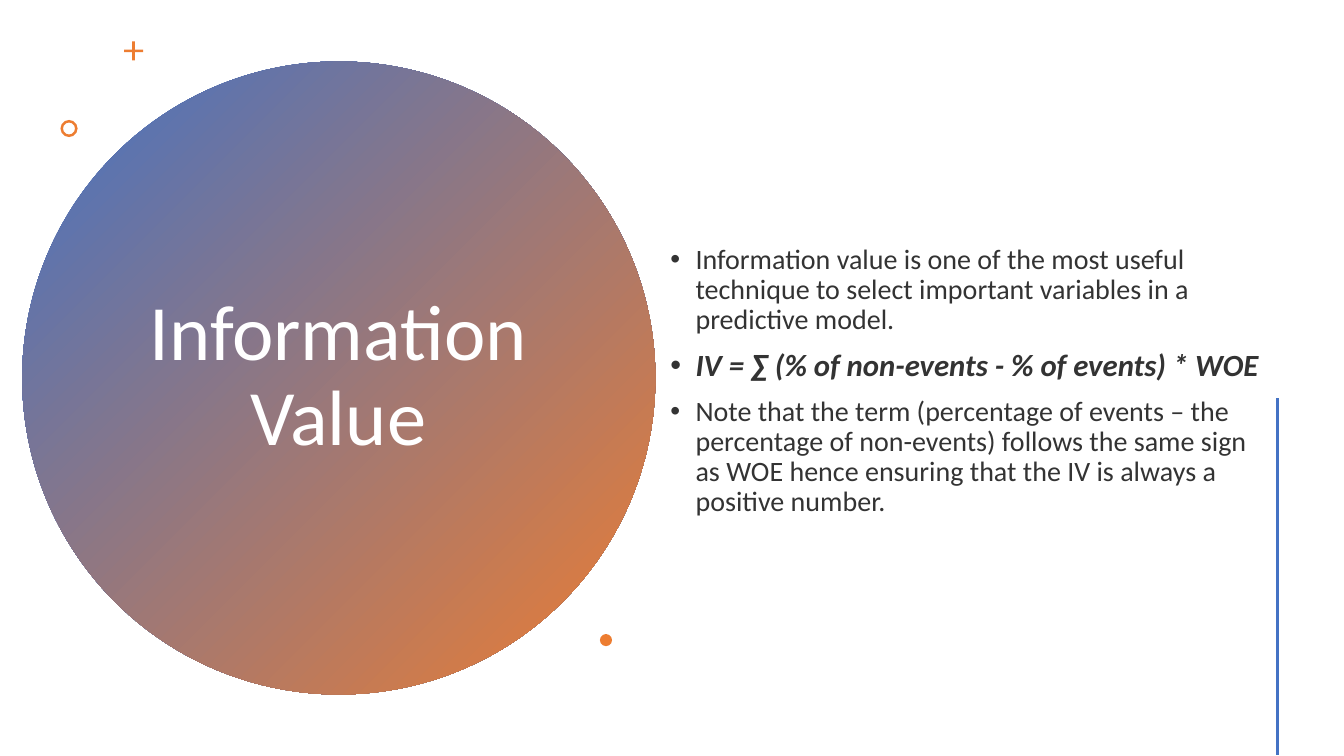
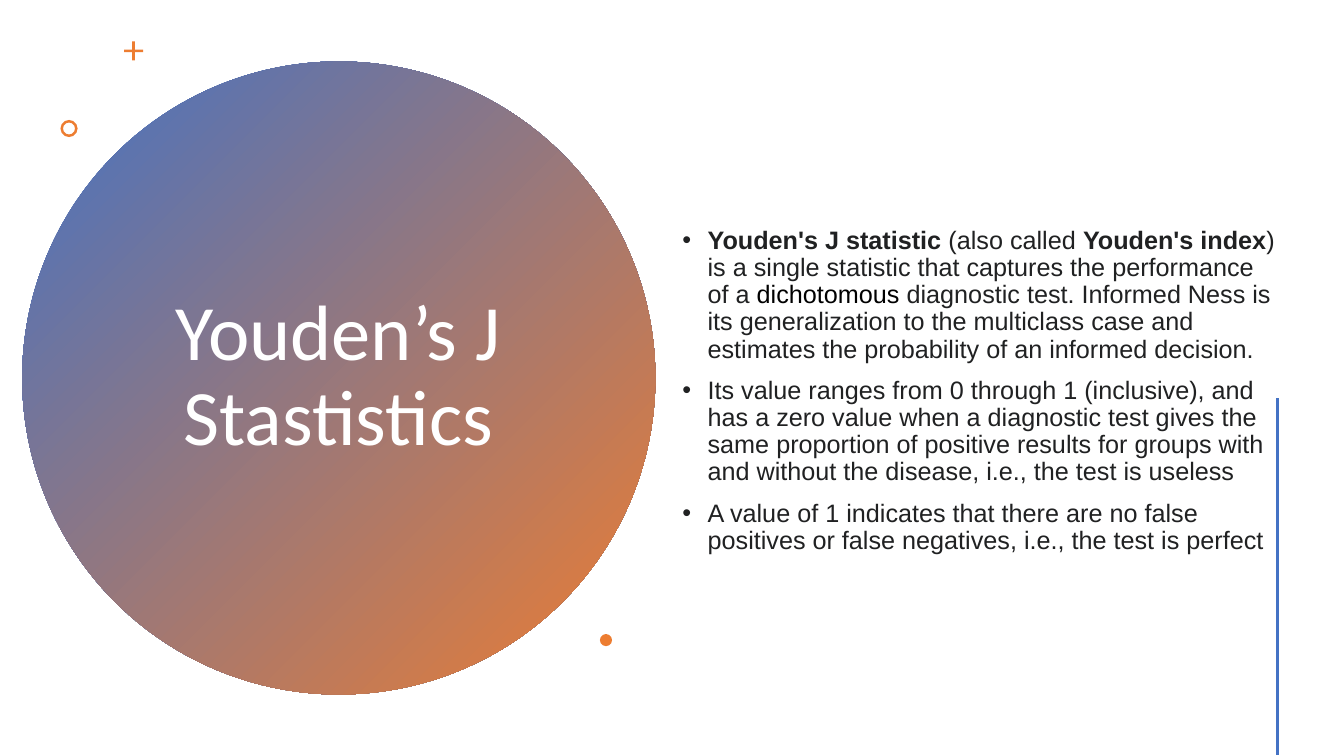
"""Build two definition slides, each with a gradient title disc and bulleted text."""
import pptx
import pptx.dml.color
import pptx.enum.shapes
import pptx.enum.text
import pptx.util
from lxml import etree
from pptx.oxml.ns import qn

Inches = pptx.util.Inches
Pt = pptx.util.Pt
RGB = pptx.dml.color.RGBColor.from_string
SHAPE = pptx.enum.shapes.MSO_SHAPE
ALIGN = pptx.enum.text.PP_ALIGN

THEME = {
    "blue": "4472C4", "orange": "ED7D31", "white": "FFFFFF",
    "black": "000000", "charcoal": "333333", "ink": "202122",
    "title_font": "Calibri", "title_size": 56, "rule_width": 2,
    "line_spacing": 0.9, "bullet_gap": 10, "bullet_indent": 0.25,
}
BOLD = {"bold": True}

SLIDES = [
    {
        "title": "Information Value",
        "body_at": (6.55, 0.61, 6.12, 6.35),
        "format": {"name": "Calibri", "size": 20, "color": "charcoal"},
        "bullets": [
            [("Information value is one of the most useful technique to select "
              "important variables in a predictive model.", {})],
            [("IV = ∑ (% of non-events - % of events) * WOE",
              {"size": 22, "bold": True, "italic": True})],
            [("Note that the term (percentage of events – the percentage of "
              "non-events) follows the same sign as WOE hence ensuring that "
              "the IV is always a positive number.", {})],
        ],
    },
    {
        "title": "Youden’s J Stastistics",
        "body_at": (6.67, 1.19, 6.12, 5.38),
        "format": {"name": "Arial", "size": 18, "color": "ink"},
        "bullets": [
            [("Youden's J statistic", BOLD),
             (" (also called ", {}),
             ("Youden's index", BOLD),
             (") is a single statistic that captures the performance of a ", {}),
             ("dichotomous", {"color": "black"}),
             (" diagnostic test. Informed Ness is its generalization to the "
              "multiclass case and estimates the probability of an informed "
              "decision.", {})],
            [("Its value ranges from 0 through 1 (inclusive), and has a zero "
              "value when a diagnostic test gives the same proportion of "
              "positive results for groups with and without the disease, "
              "i.e., the test is useless", {})],
            [("A value of 1 indicates that there are no false positives or "
              "false negatives, i.e., the test is perfect", {})],
        ],
    },
]

DISC_AT = (0.22, 0.61, 6.28, 6.28)
TITLE_AT = (1.36, 1.41, 3.99, 4.67)
RULE_AT = (12.67, 3.95, 12.67, 7.49)
ORNAMENTS = [
    (SHAPE.CROSS, (1.23, 0.41, 0.19, 0.19), 0.43),
    (SHAPE.DONUT, (0.6, 1.19, 0.17, 0.17), 0.15),
    (SHAPE.OVAL, (5.95, 6.29, 0.12, 0.12), None),
]


def inches(values):
    return [Inches(value) for value in values]


def add_plain_shape(slide, kind, place):
    shape = slide.shapes.add_shape(kind, *inches(place))
    shape.shadow.inherit = False
    shape.line.fill.background()
    return shape


def add_decor(slide):
    disc = add_plain_shape(slide, SHAPE.OVAL, DISC_AT)
    disc.fill.gradient()
    disc.fill.gradient_angle = 315
    for stop, name in zip(disc.fill.gradient_stops, ("blue", "orange")):
        stop.color.rgb = RGB(THEME[name])

    for kind, place, thickness in ORNAMENTS:
        ornament = add_plain_shape(slide, kind, place)
        ornament.fill.solid()
        ornament.fill.fore_color.rgb = RGB(THEME["orange"])
        if thickness:
            ornament.adjustments[0] = thickness

    rule = slide.shapes.add_connector(
        pptx.enum.shapes.MSO_CONNECTOR.STRAIGHT, *inches(RULE_AT))
    rule.line.color.rgb = RGB(THEME["blue"])
    rule.line.width = Pt(THEME["rule_width"])
    etree.SubElement(rule._element.spPr, qn("a:effectLst"))


def add_text_frame(slide, place):
    frame = slide.shapes.add_textbox(*inches(place)).text_frame
    frame.word_wrap = True
    frame.vertical_anchor = pptx.enum.text.MSO_ANCHOR.MIDDLE
    return frame


def add_run(paragraph, text, formats):
    run = paragraph.add_run()
    run.text = text
    for key, value in formats.items():
        if key == "color":
            run.font.color.rgb = RGB(THEME[value])
        else:
            setattr(run.font, key, Pt(value) if key == "size" else value)


def add_bullet_mark(paragraph):
    properties = paragraph._p.get_or_add_pPr()
    indent = Inches(THEME["bullet_indent"])
    properties.set("marL", str(indent))
    properties.set("indent", str(-indent))
    etree.SubElement(properties, qn("a:buFont"), typeface="Arial")
    etree.SubElement(properties, qn("a:buChar"), char="•")


def add_title(slide, title):
    paragraph = add_text_frame(slide, TITLE_AT).paragraphs[0]
    paragraph.alignment = ALIGN.CENTER
    paragraph.line_spacing = THEME["line_spacing"]
    add_run(paragraph, title, {"name": THEME["title_font"],
                               "size": THEME["title_size"], "color": "white"})


def add_bullets(slide, content):
    frame = add_text_frame(slide, content["body_at"])
    for index, runs in enumerate(content["bullets"]):
        paragraph = frame.add_paragraph() if index else frame.paragraphs[0]
        add_bullet_mark(paragraph)
        paragraph.line_spacing = THEME["line_spacing"]
        if index:
            paragraph.space_before = Pt(THEME["bullet_gap"])
        for text, formats in runs:
            add_run(paragraph, text, {**content["format"], **formats})


def main():
    deck = pptx.Presentation()
    deck.slide_width, deck.slide_height = inches((13.33, 7.5))
    for content in SLIDES:
        slide = deck.slides.add_slide(deck.slide_layouts[6])
        add_decor(slide)
        add_title(slide, content["title"])
        add_bullets(slide, content)
    deck.save("out.pptx")


if __name__ == "__main__":
    main()
